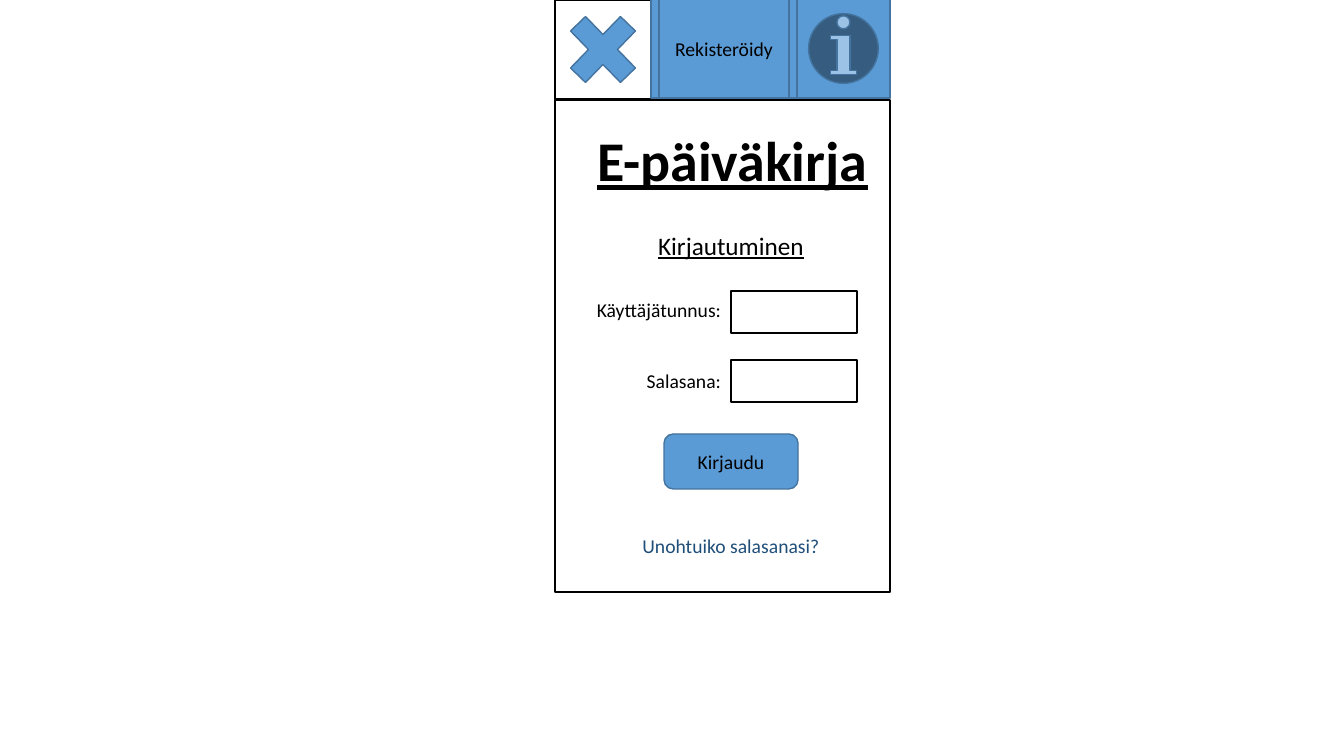
from pptx import Presentation
from pptx.dml.color import RGBColor
from pptx.enum import shapes, text
from pptx.util import Pt

SCALE = 914400 / 100.8
KIND = shapes.MSO_SHAPE
ALIGN = text.PP_ALIGN
BLACK, BLUE, EDGE, NAVY = "000000", "5B9BD5", "43739E", "1F4E79"


def emu(*sizes):
    """Turn pixels into EMU."""
    return [round(size * SCALE) for size in sizes]


def color(code):
    """Turn a hex string into a colour."""
    return RGBColor.from_string(code)


def write(frame, words, size=14, ink=BLACK, align=ALIGN.CENTER, bold=False, under=False):
    """Put one styled run into a text frame."""
    frame.word_wrap = True
    para = frame.paragraphs[0]
    para.alignment = align
    run = para.add_run()
    run.text = words
    font = run.font
    font.name, font.size = "Calibri", Pt(size)
    font.bold, font.underline = bold, under
    font.color.rgb = color(ink)


def shape(slide, box, kind=KIND.RECTANGLE, fill=None, edge=EDGE, words=None):
    """Add a preset shape, with a centred caption if given."""
    item = slide.shapes.add_shape(kind, *emu(*box))
    item.shadow.inherit = False
    if fill:
        item.fill.solid()
        item.fill.fore_color.rgb = color(fill)
    else:
        item.fill.background()
    item.line.color.rgb = color(edge)
    item.line.width = Pt(1)
    if words:
        item.text_frame.vertical_anchor = text.MSO_ANCHOR.MIDDLE
        write(item.text_frame, words)
    return item


def label(slide, box, words, **style):
    """Add a text box."""
    frame = slide.shapes.add_textbox(*emu(*box)).text_frame
    write(frame, words, **style)
    frame.auto_size = text.MSO_AUTO_SIZE.SHAPE_TO_FIT_TEXT


def header(slide):
    """Draw the bar with the close, register and info buttons."""
    close = (555, 0, 96, 99)
    shape(slide, close, edge=BLACK)
    cross = shape(slide, close, KIND.MATH_MULTIPLY, BLUE)
    cross.adjustments[0] = 0.217
    shape(slide, (651, -1, 239, 99), fill=BLUE)
    shape(slide, (659, -1, 130, 99), fill=BLUE, words="Rekisteröidy")


def field(slide, top, caption, drop):
    """Draw an entry field with its caption on the left."""
    shape(slide, (731, top, 126, 42), edge=BLACK)
    label(slide, (583, top + drop, 148, 34), caption, align=ALIGN.RIGHT)


def login(slide):
    """Draw the login panel."""
    shape(slide, (555, 100, 335, 492), edge=BLACK)
    label(slide, (574, 121, 317, 78), "E-päiväkirja", size=40, bold=True, under=True)
    label(slide, (606, 225, 250, 40), "Kirjautuminen", size=18, under=True)
    field(slide, 291, "Käyttäjätunnus:", 2)
    field(slide, 360, "Salasana:", 4)
    shape(slide, (664, 434, 134, 55), KIND.FLOWCHART_ALTERNATE_PROCESS, BLUE, words="Kirjaudu")
    label(slide, (606, 529, 250, 34), "Unohtuiko salasanasi?", ink=NAVY)


def main():
    """Build and save the slide."""
    deck = Presentation()
    deck.slide_width, deck.slide_height = emu(1344, 756)
    slide = deck.slides.add_slide(deck.slide_layouts[6])
    header(slide)
    login(slide)
    shape(slide, (797, -1, 93, 99), KIND.ACTION_BUTTON_INFORMATION, BLUE)
    deck.save("out.pptx")


main()
